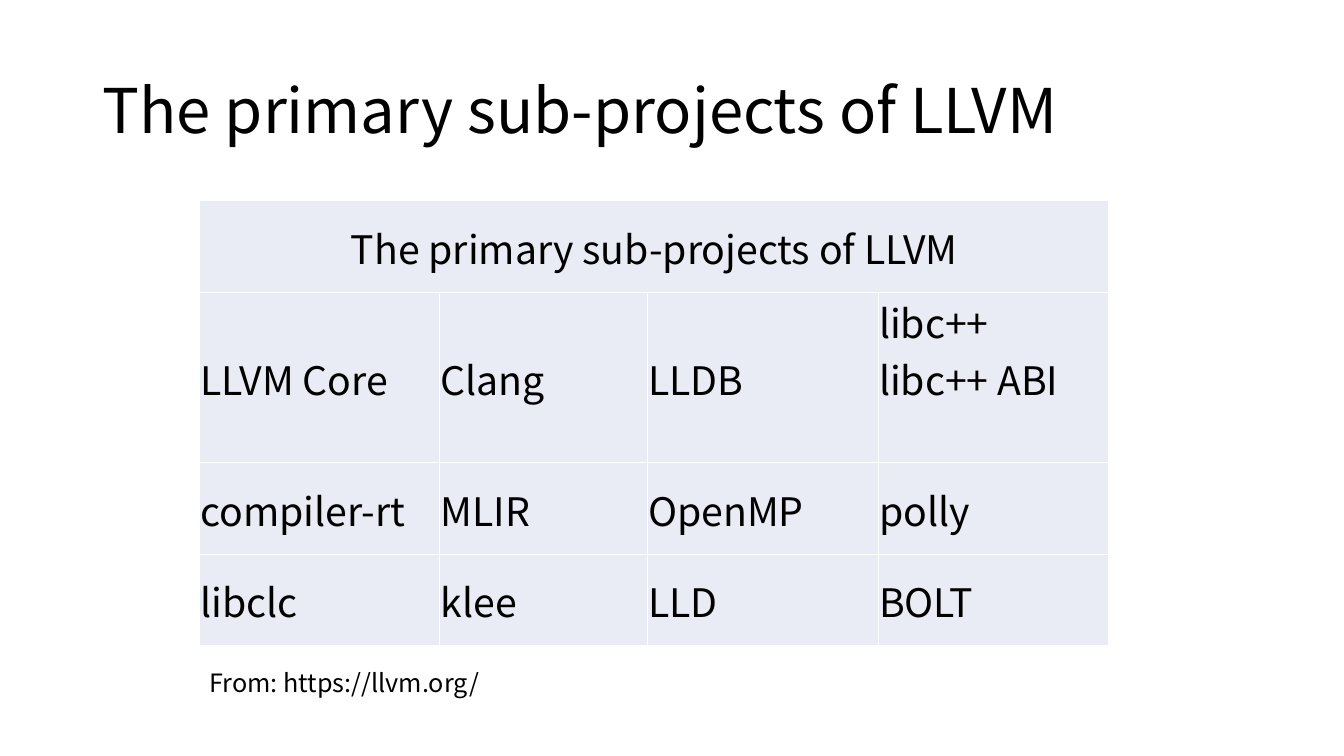
from lxml import etree
from pptx import Presentation
from pptx.dml.color import RGBColor
from pptx.enum import text
from pptx.oxml import ns
from pptx.util import Inches, Pt

TITLE = "The primary sub-projects of LLVM"
PROJECTS = [
    ["LLVM Core", "Clang", "LLDB", "libc++\nlibc++ ABI"],
    ["compiler-rt", "MLIR", "OpenMP", "polly"],
    ["libclc", "klee", "LLD", "BOLT"],
]
SOURCE = "From: https://llvm.org/"
FONT = "Noto Sans CJK SC"
COLORS = {"text": "000000", "cell": "E9EBF5", "border": "FFFFFF"}
COLUMNS = [2.38, 2.06, 2.29, 2.29]
ROWS = [0.91, 1.69, 0.91, 0.91]
TABLE_LEFT, TABLE_TOP = 1.98, 1.99


def write(frame, content, size, align=text.PP_ALIGN.LEFT, spacing=None):
    frame.text = content
    frame.word_wrap = True
    for para in frame.paragraphs:
        para.alignment = align
        para.line_spacing = spacing
        para.font.name = FONT
        para.font.size = Pt(size)
        para.font.color.rgb = RGBColor.from_string(COLORS["text"])


def add_text(page, place, content, size, anchor=text.MSO_ANCHOR.TOP, spacing=None):
    box = page.shapes.add_textbox(*map(Inches, place))
    box.text_frame.vertical_anchor = anchor
    write(box.text_frame, content, size, spacing=spacing)


def style_cell(cell):
    properties = cell._tc.get_or_add_tcPr()
    for side in ("lnL", "lnR", "lnT", "lnB"):
        line = etree.SubElement(properties, ns.qn(f"a:{side}"), w=str(Pt(1)))
        fill = etree.SubElement(line, ns.qn("a:solidFill"))
        etree.SubElement(fill, ns.qn("a:srgbClr"), val=COLORS["border"])
    cell.fill.solid()
    cell.fill.fore_color.rgb = RGBColor.from_string(COLORS["cell"])
    cell.margin_left = cell.margin_right = cell.margin_top = Inches(0.01)
    cell.margin_bottom = 0
    cell.vertical_anchor = text.MSO_ANCHOR.MIDDLE


def add_projects(page):
    place = (TABLE_LEFT, TABLE_TOP, sum(COLUMNS), sum(ROWS))
    table = page.shapes.add_table(len(ROWS), len(COLUMNS), *map(Inches, place)).table
    table.first_row = table.horz_banding = False
    for column, width in zip(table.columns, COLUMNS):
        column.width = Inches(width)
    for row, height in zip(table.rows, ROWS):
        row.height = Inches(height)
    for cell in table.iter_cells():
        style_cell(cell)
    heading = table.cell(0, 0)
    heading.merge(table.cell(0, len(COLUMNS) - 1))
    write(heading.text_frame, TITLE, 28, text.PP_ALIGN.CENTER)
    for row, names in enumerate(PROJECTS, 1):
        for column, name in enumerate(names):
            cell = table.cell(row, column)
            write(cell.text_frame, name, 28)
            if "\n" in name:
                cell.vertical_anchor = text.MSO_ANCHOR.TOP


def main():
    """Build the slide listing the LLVM sub-projects."""
    deck = Presentation()
    deck.slide_width, deck.slide_height = Inches(13.33), Inches(7.5)
    page = deck.slides.add_slide(deck.slide_layouts[6])
    add_text(page, (0.92, 0.4, 11.5, 1.45), TITLE, 44, text.MSO_ANCHOR.MIDDLE, 0.9)
    add_projects(page)
    add_text(page, (TABLE_LEFT, 6.57, sum(COLUMNS), 0.4), SOURCE, 18)
    deck.save("out.pptx")


if __name__ == "__main__":
    main()
